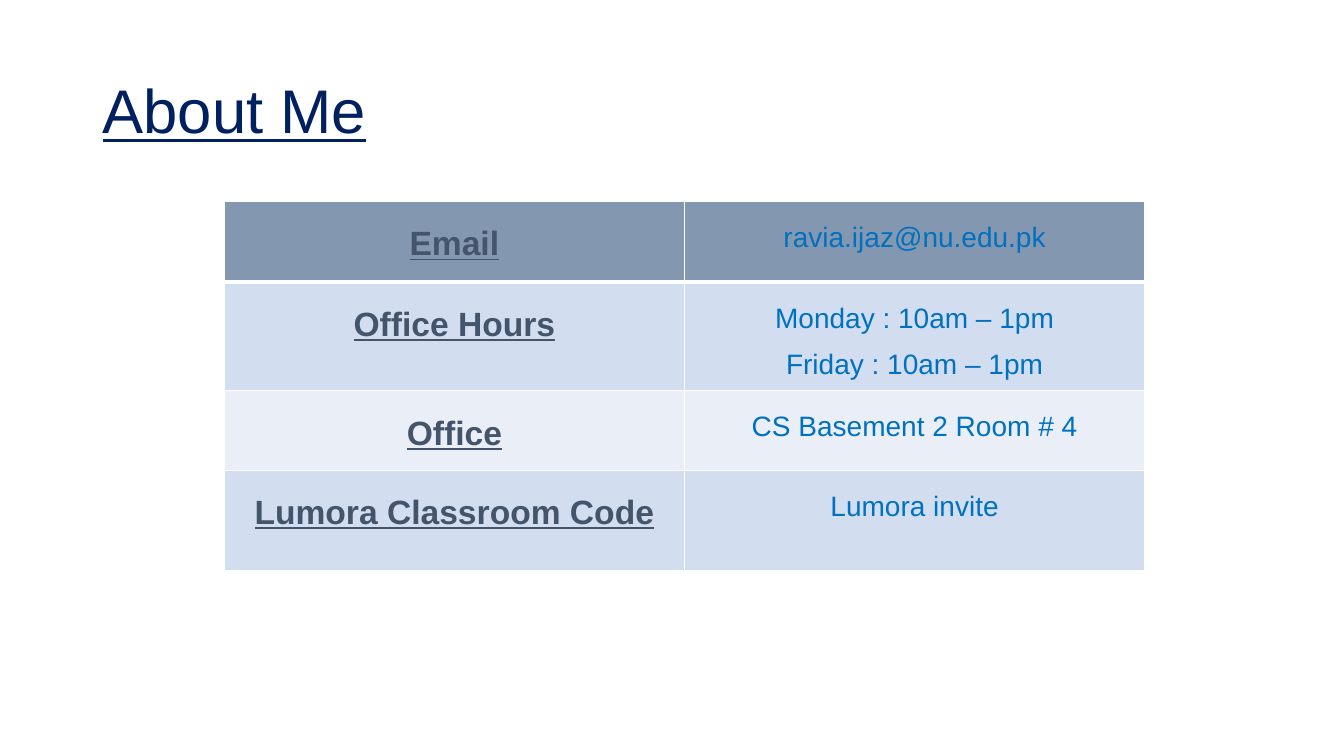
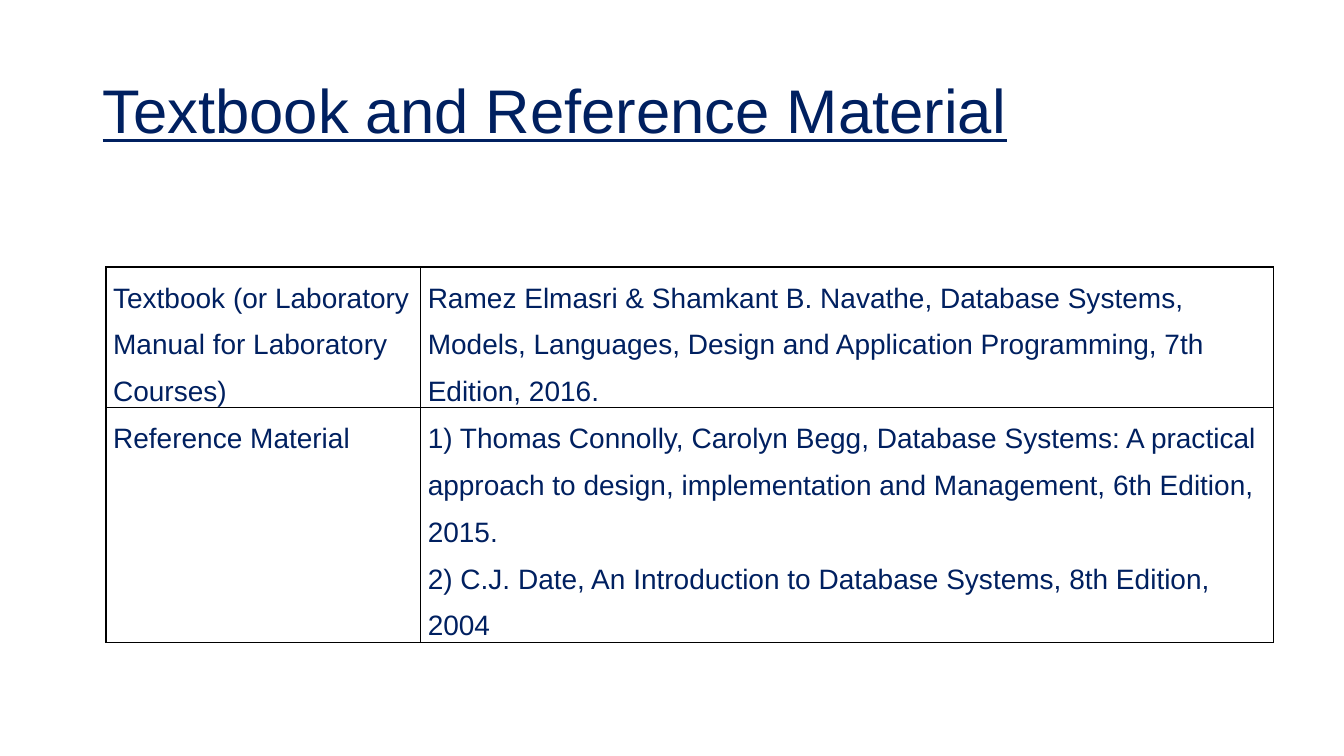
from lxml import etree
from pptx import Presentation
from pptx.dml.color import RGBColor
from pptx.enum.text import MSO_ANCHOR, PP_ALIGN
from pptx.oxml import parse_xml
from pptx.oxml.ns import nsdecls
from pptx.util import Cm, Pt

FONT = "Arial"
NAVY = RGBColor(0x00, 0x20, 0x60)
BLUE = RGBColor(0x00, 0x70, 0xC0)
SLATE = RGBColor(0x44, 0x54, 0x6A)
HEADER = RGBColor(0x84, 0x97, 0xB0)
BAND = RGBColor(0xD2, 0xDE, 0xEF)
LIGHT = RGBColor(0xEA, 0xEF, 0xF7)
WHITE = RGBColor(0xFF, 0xFF, 0xFF)
BLACK = RGBColor(0x00, 0x00, 0x00)

prs = Presentation()
prs.slide_width, prs.slide_height = Cm(33.87), Cm(19.05)


def add_titled_table(title, left, top, widths, heights):
    s = prs.slides.add_slide(prs.slide_layouts[5])
    sp = s.shapes.title
    sp.left, sp.top, sp.width, sp.height = Cm(2.33), Cm(1.03), Cm(29.21), Cm(3.68)
    tf = sp.text_frame
    tf.text = title
    tf.vertical_anchor = MSO_ANCHOR.MIDDLE
    p = tf.paragraphs[0]
    p.alignment = PP_ALIGN.LEFT
    p.line_spacing = 0.9
    p.font.name, p.font.size, p.font.underline = FONT, Pt(44), True
    p.font.color.rgb = NAVY

    table = s.shapes.add_table(len(heights), len(widths), Cm(left), Cm(top),
                               Cm(sum(widths)), Cm(sum(heights))).table
    for col, width in zip(table.columns, widths):
        col.width = Cm(width)
    for row, height in zip(table.rows, heights):
        row.height = Cm(height)
    return table


def fill_cell(cell, text, size, color, line, top=1, bottom=1, fill=None):
    if fill is None:
        cell.fill.background()
    else:
        cell.fill.solid()
        cell.fill.fore_color.rgb = fill
    tcPr = cell._tc.get_or_add_tcPr()
    for i, (side, width) in enumerate((("L", 1), ("R", 1), ("T", top), ("B", bottom))):
        ln = parse_xml(f'<a:ln{side} {nsdecls("a")} w="{Pt(width)}"/>')
        solid = etree.SubElement(ln, ln.tag.replace(f"ln{side}", "solidFill"))
        etree.SubElement(solid, solid.tag.replace("solidFill", "srgbClr"), val=str(line))
        tcPr.insert(i, ln)
    cell.text = text
    for p in cell.text_frame.paragraphs:
        p.line_spacing = 1.5
        p.font.name, p.font.size, p.font.bold = FONT, Pt(size), False
        p.font.color.rgb = color


contacts = [
    ("Email", "ravia.ijaz@nu.edu.pk", HEADER),
    ("Office Hours", "Monday : 10am – 1pm\nFriday : 10am – 1pm", BAND),
    ("Office", "CS Basement 2 Room # 4", LIGHT),
    ("Lumora Classroom Code", "Lumora invite", BAND),
]
table = add_titled_table("About Me", 5.65, 5.08, [11.6, 11.6], [2.03, 2.74, 2.01, 2.51])
for i, (label, value, fill) in enumerate(contacts):
    top, bottom = 3 if i == 1 else 1, 3 if i == 0 else 1
    name_cell, value_cell = table.rows[i].cells
    fill_cell(name_cell, label, 24, SLATE, WHITE, top, bottom, fill)
    fill_cell(value_cell, value, 20, BLUE, WHITE, top, bottom, fill)
    for cell in (name_cell, value_cell):
        for p in cell.text_frame.paragraphs:
            p.alignment = PP_ALIGN.CENTER
    font = name_cell.text_frame.paragraphs[0].font
    font.bold = font.underline = True

books = [
    ("Textbook (or Laboratory Manual for Laboratory Courses)",
     "Ramez Elmasri & Shamkant B. Navathe, Database Systems, Models, Languages, "
     "Design and Application Programming, 7th Edition, 2016."),
    ("Reference Material",
     "1) Thomas Connolly, Carolyn Begg, Database Systems: A practical approach to design, "
     "implementation and Management, 6th Edition, 2015.\n"
     "2) C.J. Date, An Introduction to Database Systems, 8th Edition, 2004"),
]
table = add_titled_table("Textbook and Reference Material", 2.67, 6.73, [7.93, 21.49], [3.54, 5.92])
for row, texts in zip(table.rows, books):
    for cell, text in zip(row.cells, texts):
        fill_cell(cell, text, 20, NAVY, BLACK)
        cell.margin_left = cell.margin_right = Cm(0.18)
        cell.margin_top = cell.margin_bottom = 0

prs.save("out.pptx")
